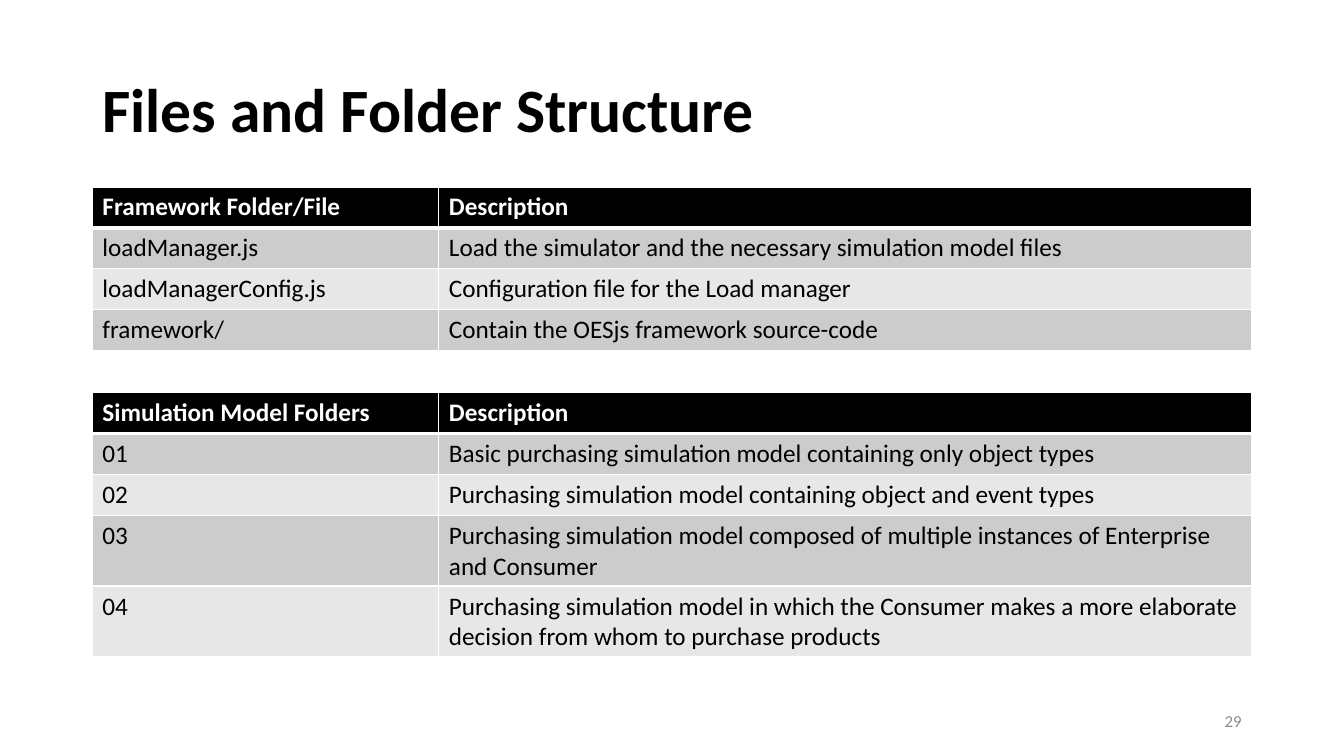
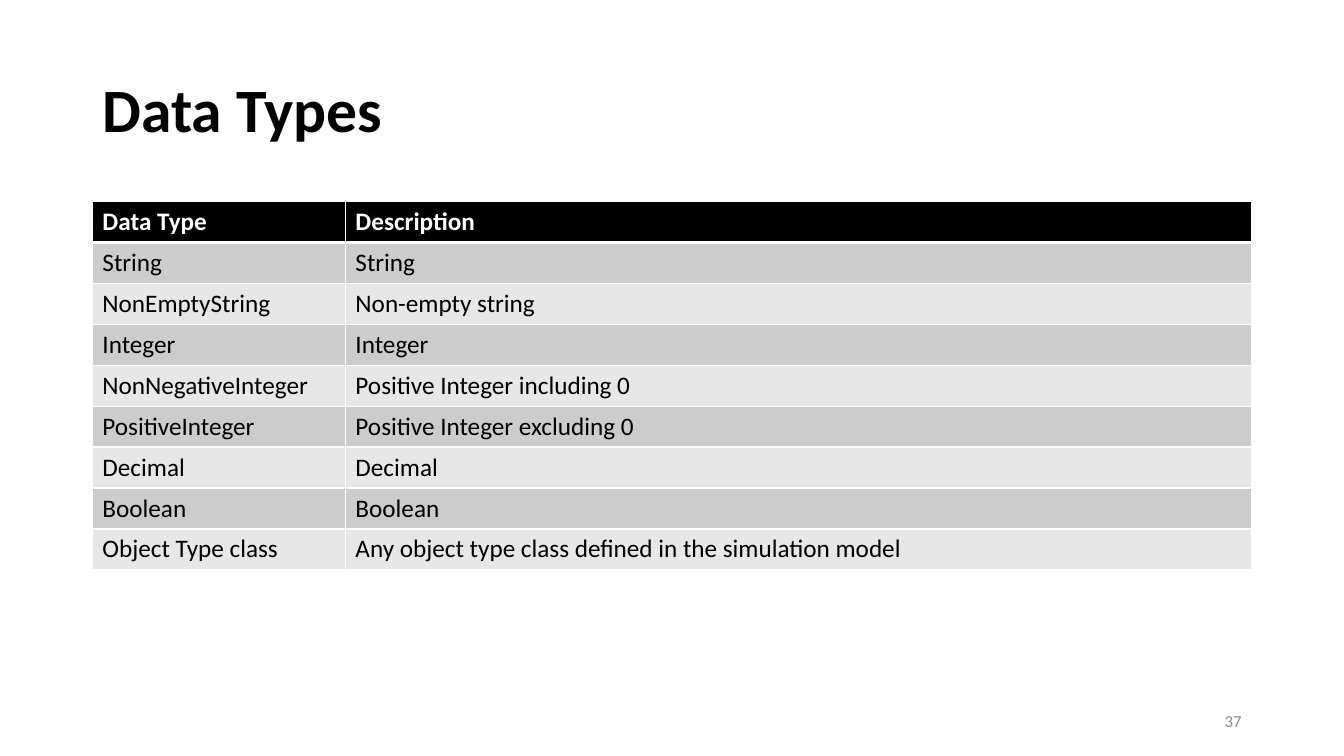
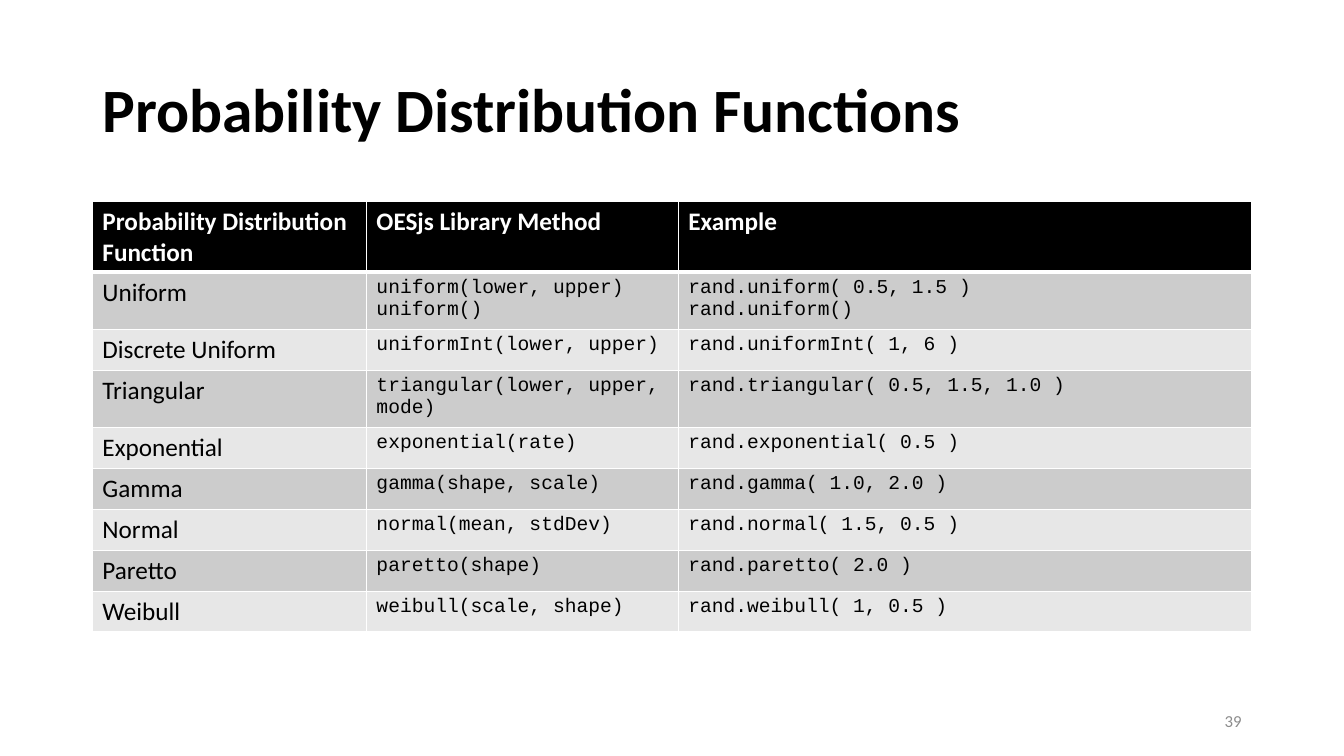
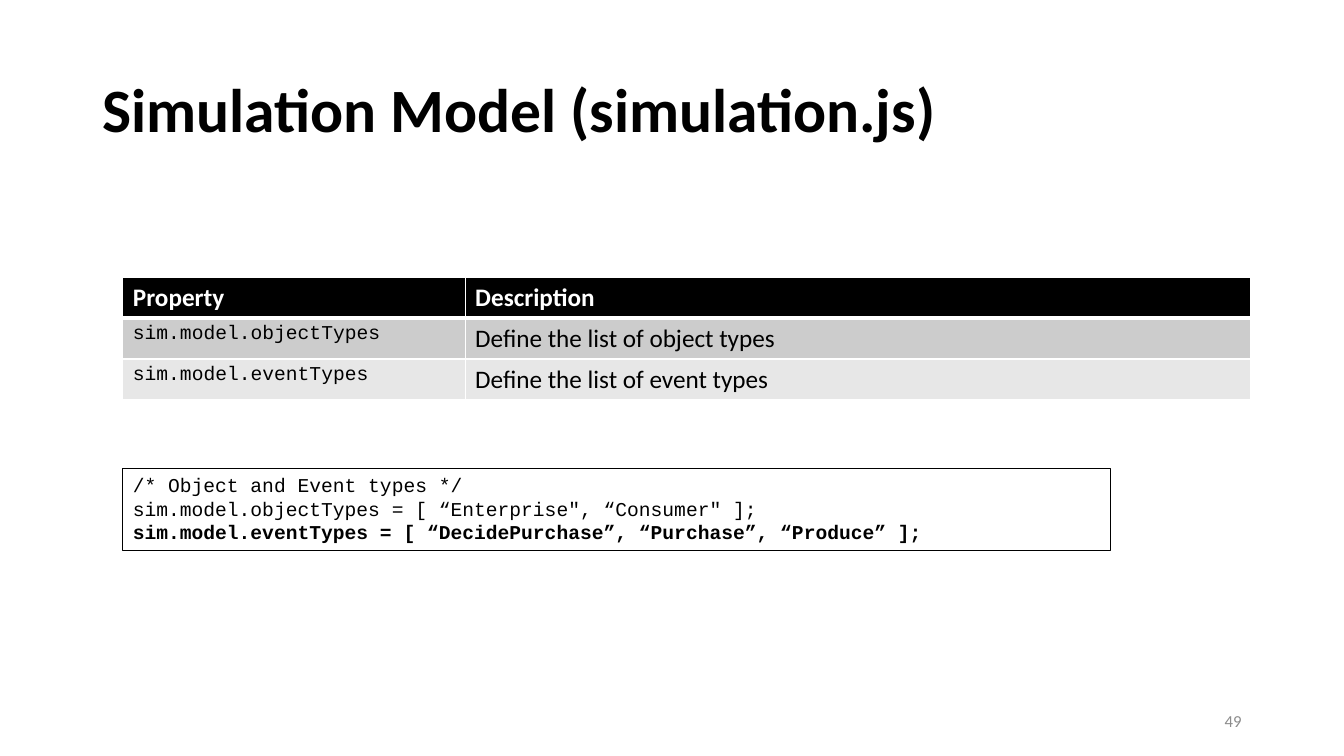
from lxml import etree
from pptx import Presentation
from pptx import util as u
from pptx.dml.color import RGBColor
from pptx.enum import shapes, text
from pptx.oxml import ns

COLORS = {
    "black": "000000",
    "white": "FFFFFF",
    "band_dark": "CCCCCC",
    "band_light": "E7E7E7",
    "number": "8C8C8C",
}
BODY, CODE = "Calibri", "Courier New"
LEFT, WIDTH, ROW_HEIGHT = 88, 1104, 39


def px(n):
    return u.Emu(n * 9525)


def box(*lengths):
    return [px(n) for n in lengths]


def rgb(name):
    return RGBColor.from_string(COLORS[name])


def add_run(p, content, size=18, font=BODY, color="black", bold=False):
    r = p.add_run()
    r.text = content
    r.font.size = u.Pt(size)
    r.font.name = font
    r.font.bold = bold
    r.font.color.rgb = rgb(color)


def write_lines(tf, lines, **style):
    for i, line in enumerate(lines):
        p = tf.add_paragraph() if i else tf.paragraphs[0]
        p.alignment = text.PP_ALIGN.LEFT
        add_run(p, line, **style)


def add_slide(prs, title, number):
    s = prs.slides.add_slide(prs.slide_layouts[5])
    sp = s.shapes.title
    sp.left, sp.top, sp.width, sp.height = box(LEFT, 38, WIDTH, 139)
    tf = sp.text_frame
    tf.vertical_anchor = text.MSO_ANCHOR.MIDDLE
    p = tf.paragraphs[0]
    p.alignment = text.PP_ALIGN.LEFT
    p.line_spacing = 0.9
    add_run(p, title, size=44, bold=True)

    tf = s.shapes.add_textbox(*box(904, 667, 288, 38)).text_frame
    tf.word_wrap = True
    tf.vertical_anchor = text.MSO_ANCHOR.MIDDLE
    p = tf.paragraphs[0]
    p.alignment = text.PP_ALIGN.RIGHT
    add_run(p, str(number), size=12, color="number")
    return s


def set_borders(cell, row):
    widths = {"L": 1, "R": 1, "T": 3 if row == 1 else 1, "B": 3 if row == 0 else 1}
    tc_pr = cell._tc.get_or_add_tcPr()
    for i, (side, width) in enumerate(widths.items()):
        ln = etree.Element(ns.qn(f"a:ln{side}"), w=str(u.Pt(width)))
        fill = etree.SubElement(ln, ns.qn("a:solidFill"))
        etree.SubElement(fill, ns.qn("a:srgbClr"), val=COLORS["white"])
        tc_pr.insert(i, ln)


def fill_cell(cell, row, content, is_code):
    cell.fill.solid()
    if row == 0:
        cell.fill.fore_color.rgb = rgb("black")
        style = {"color": "white", "bold": True}
    else:
        cell.fill.fore_color.rgb = rgb("band_dark" if row % 2 else "band_light")
        style = {"size": 14, "font": CODE} if is_code else {}
    write_lines(cell.text_frame, content.split("\n"), **style)
    set_borders(cell, row)


def add_table(s, top, widths, rows, left=LEFT, code_cols=()):
    frame = s.shapes.add_table(
        len(rows), len(widths), *box(left, top, sum(widths), ROW_HEIGHT * len(rows))
    )
    table = frame.table
    table.horz_banding = False
    for col, width in zip(table.columns, widths):
        col.width = px(width)
    for i, row in enumerate(rows):
        table.rows[i].height = px(ROW_HEIGHT)
        for j, content in enumerate(row):
            fill_cell(table.cell(i, j), i, content, j in code_cols)


def add_code_box(s, left, top, width, height, lines, bold_line):
    sp = s.shapes.add_shape(
        shapes.MSO_SHAPE.RECTANGLE, *box(left, top, width, height)
    )
    sp.shadow.inherit = False
    sp.fill.background()
    sp.line.color.rgb = rgb("black")
    sp.line.width = u.Pt(0.75)
    tf = sp.text_frame
    tf.word_wrap = True
    tf.vertical_anchor = text.MSO_ANCHOR.TOP
    write_lines(tf, lines, size=14, font=CODE)
    tf.paragraphs[bold_line].runs[0].font.bold = True


def files_slide(prs):
    s = add_slide(prs, "Files and Folder Structure", 29)
    widths = (330, 774)
    add_table(s, 178, widths, [
        ("Framework Folder/File", "Description"),
        ("loadManager.js", "Load the simulator and the necessary simulation model files"),
        ("loadManagerConfig.js", "Configuration file for the Load manager"),
        ("framework/", "Contain the OESjs framework source-code"),
    ])
    add_table(s, 374, widths, [
        ("Simulation Model Folders", "Description"),
        ("01", "Basic purchasing simulation model containing only object types"),
        ("02", "Purchasing simulation model containing object and event types"),
        ("03", "Purchasing simulation model composed of multiple instances of "
               "Enterprise and Consumer"),
        ("04", "Purchasing simulation model in which the Consumer makes a more "
               "elaborate decision from whom to purchase products"),
    ])


def data_types_slide(prs):
    s = add_slide(prs, "Data Types", 37)
    add_table(s, 192, (241, 863), [
        ("Data Type", "Description"),
        ("String", "String"),
        ("NonEmptyString", "Non-empty string"),
        ("Integer", "Integer"),
        ("NonNegativeInteger", "Positive Integer including 0"),
        ("PositiveInteger", "Positive Integer excluding 0"),
        ("Decimal", "Decimal"),
        ("Boolean", "Boolean"),
        ("Object Type class", "Any object type class defined in the simulation model"),
    ])


def distributions_slide(prs):
    s = add_slide(prs, "Probability Distribution Functions", 39)
    add_table(s, 192, (261, 297, 546), [
        ("Probability Distribution Function", "OESjs Library Method", "Example"),
        ("Uniform", "uniform(lower, upper)\nuniform()",
         "rand.uniform( 0.5, 1.5 )\nrand.uniform()"),
        ("Discrete Uniform", "uniformInt(lower, upper)", "rand.uniformInt( 1, 6 )"),
        ("Triangular", "triangular(lower, upper, mode)",
         "rand.triangular( 0.5, 1.5, 1.0 )"),
        ("Exponential", "exponential(rate)", "rand.exponential( 0.5 )"),
        ("Gamma", "gamma(shape, scale)", "rand.gamma( 1.0, 2.0 )"),
        ("Normal", "normal(mean, stdDev)", "rand.normal( 1.5, 0.5 )"),
        ("Paretto", "paretto(shape)", "rand.paretto( 2.0 )"),
        ("Weibull", "weibull(scale, shape)", "rand.weibull( 1, 0.5 )"),
    ], code_cols=(1, 2))


def model_slide(prs):
    s = add_slide(prs, "Simulation Model (simulation.js)", 49)
    left = 117
    add_table(s, 264, (326, 748), [
        ("Property", "Description"),
        ("sim.model.objectTypes", "Define the list of object types"),
        ("sim.model.eventTypes", "Define the list of event types"),
    ], left=left, code_cols=(0,))
    add_code_box(s, left, 446, 941, 78, [
        "/* Object and Event types */",
        'sim.model.objectTypes = [ “Enterprise", “Consumer" ];',
        "sim.model.eventTypes = [ “DecidePurchase”, “Purchase”, “Produce” ];",
    ], bold_line=2)


def main():
    prs = Presentation()
    prs.slide_width, prs.slide_height = box(1280, 720)
    files_slide(prs)
    data_types_slide(prs)
    distributions_slide(prs)
    model_slide(prs)
    prs.save("out.pptx")


if __name__ == "__main__":
    main()
